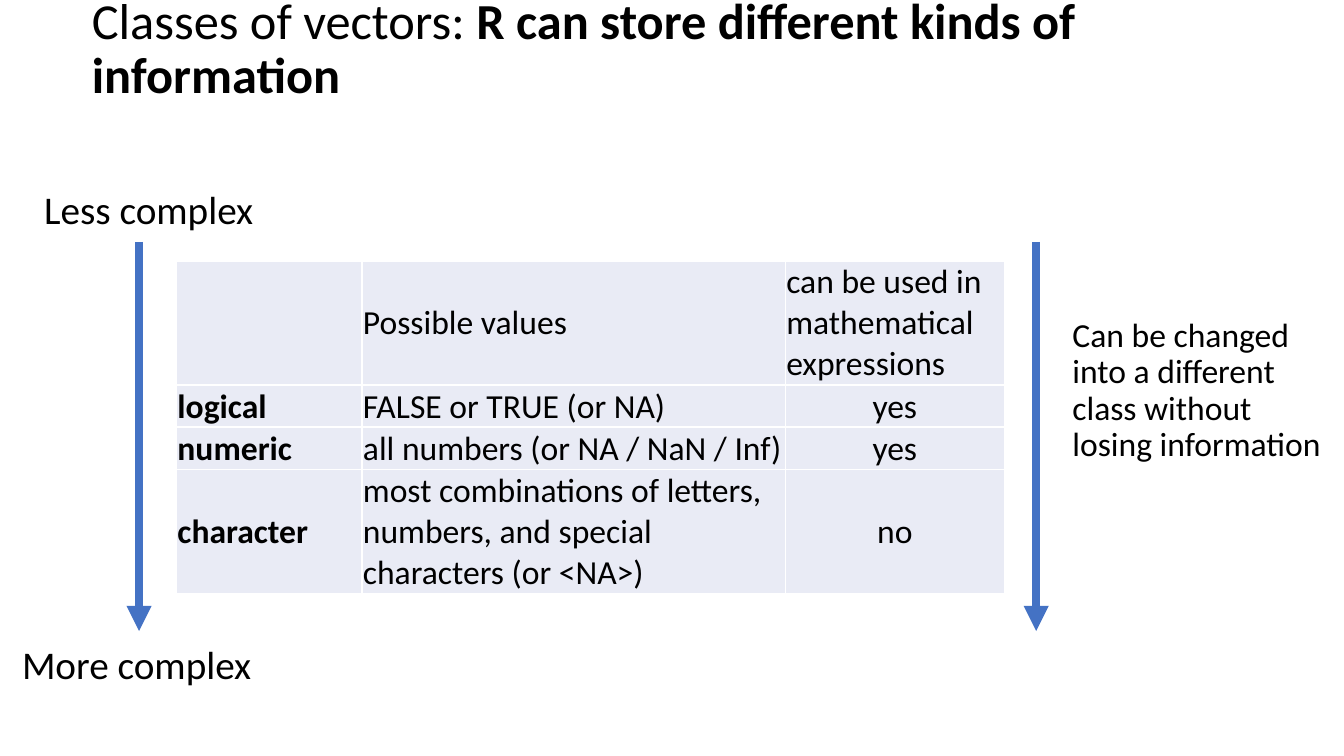
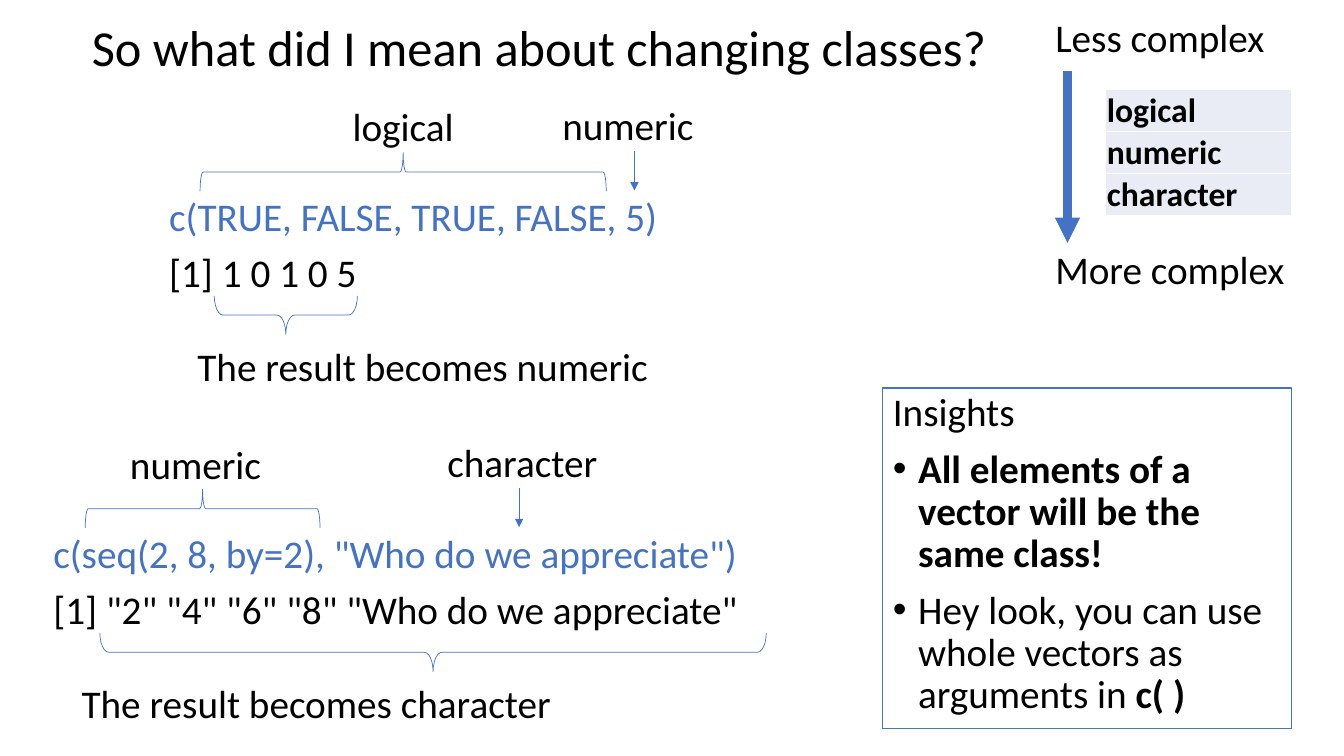
from lxml.etree import SubElement
from pptx import Presentation
from pptx.dml.color import RGBColor
from pptx.enum.shapes import MSO_CONNECTOR, MSO_SHAPE
from pptx.enum.text import MSO_ANCHOR, MSO_AUTO_SIZE, PP_ALIGN
from pptx.oxml.ns import qn
from pptx.util import Inches, Pt

COLORS = {"ink": "000000", "accent": "4472C4", "cell": "E9EBF5", "border": "FFFFFF"}
FONT = "Calibri"
TITLE_ONLY = 5
LINE_ROW = 5.38
CLASS_COL = 13.8

deck = Presentation()
deck.slide_width, deck.slide_height = Inches(13.33), Inches(7.5)


def share(left, top, width, height):
    across, down = deck.slide_width / 100, deck.slide_height / 100
    return int(left * across), int(top * down), int(width * across), int(height * down)


def write(frame, paragraphs, size=28, before=10, spacing=0.9, align=PP_ALIGN.LEFT):
    frame.word_wrap = True
    for index, runs in enumerate(paragraphs):
        paragraph = frame.paragraphs[0] if index == 0 else frame.add_paragraph()
        paragraph.alignment = align
        paragraph.line_spacing = spacing
        paragraph.space_before = Pt(before)
        for text, bold, color in runs:
            run = paragraph.add_run()
            run.text = text
            run.font.name, run.font.size, run.font.bold = FONT, Pt(size), bold
            run.font.color.rgb = RGBColor.from_string(COLORS[color])


titles = [
    (93.22, [("Classes of vectors: ", False, "ink"),
             ("R can store different kinds of information", True, "ink")]),
    (86.25, [("So what did I mean about changing classes?", False, "ink")]),
]
slides = []
for title_width, title_runs in titles:
    slide = deck.slides.add_slide(deck.slide_layouts[TITLE_ONLY])
    heading = slide.shapes.title
    heading.left, heading.top, heading.width, heading.height = share(6.08, 0, title_width, 13.33)
    heading.text_frame.vertical_anchor = MSO_ANCHOR.MIDDLE
    heading.text_frame.auto_size = MSO_AUTO_SIZE.NONE
    write(heading.text_frame, [title_runs], size=36, before=0)
    slides.append(slide)
classes, changing = slides

class_rows = [
    ["", "Possible values", "can be used in mathematical expressions"],
    ["logical", "FALSE or TRUE (or NA)", "yes"],
    ["numeric", "all numbers (or NA / NaN / Inf)", "yes"],
    ["character", "most combinations of letters, numbers, and special characters (or <NA>)", "no"],
]
class_names = [row[:1] for row in class_rows[1:]]
tables = [
    (classes, 13.13, 34.53, [CLASS_COL, 31.5, 16.3], [3, 1, 1, 3], class_rows),
    (changing, 82.28, 11.87, [CLASS_COL], [1, 1, 1], class_names),
]
for slide, left, top, columns, line_counts, rows in tables:
    box = share(left, top, sum(columns), sum(line_counts) * LINE_ROW)
    table = slide.shapes.add_table(len(rows), len(columns), *box).table
    table.first_row = table.horz_banding = False
    for column, width in zip(table.columns, columns):
        column.width = share(0, 0, width, 0)[2]
    for row, lines in zip(table.rows, line_counts):
        row.height = share(0, 0, 0, lines * LINE_ROW)[3]
    for row_index, values in enumerate(rows):
        for column_index, value in enumerate(values):
            cell = table.cell(row_index, column_index)
            cell.margin_left = cell.margin_right = cell.margin_top = Inches(0.01)
            cell.margin_bottom = 0
            cell.vertical_anchor = MSO_ANCHOR.MIDDLE
            for side in ("a:lnL", "a:lnR", "a:lnT", "a:lnB"):
                border = SubElement(cell._tc.get_or_add_tcPr(), qn(side), w=str(Pt(1)))
                border_fill = SubElement(border, qn("a:solidFill"))
                SubElement(border_fill, qn("a:srgbClr"), val=COLORS["border"])
            cell.fill.solid()
            cell.fill.fore_color.rgb = RGBColor.from_string(COLORS["cell"])
            is_answer = column_index == 2 and row_index > 0
            write(cell.text_frame, [[(value, column_index == 0, "ink")]], size=24, before=0,
                  spacing=1.0, align=PP_ALIGN.CENTER if is_answer else PP_ALIGN.LEFT)

arrows = [
    (classes, 10.35, 32, 83.47, 6),
    (classes, 77.1, 32, 83.47, 6),
    (changing, 79.43, 9.33, 32.13, 6),
    (changing, 47.21, 20, 25.2, 0.5),
    (changing, 38.63, 64.53, 69.73, 0.5),
]
for slide, across, start, end, weight in arrows:
    x, y, _, length = share(across, start, 0, end - start)
    arrow = slide.shapes.add_connector(MSO_CONNECTOR.STRAIGHT, x, y, x, y + length)
    arrow.line.color.rgb = RGBColor.from_string(COLORS["accent"])
    arrow.line.width = Pt(weight)
    SubElement(arrow.line._get_or_add_ln(), qn("a:tailEnd"), type="triangle")
    SubElement(arrow._element.spPr, qn("a:effectLst"))

braces = [
    (14.89, 20.2, 30.22, 270, 0.08),
    (15.94, 39.13, 10.65, 90, 0.23),
    (6.34, 64.73, 17.47, 270, 0.08),
    (7.43, 83.73, 49.58, 90, 0.23),
]
for left, top, width, turn, curl in braces:
    x, y, span, depth = share(left, top, width, 5.1)
    brace = changing.shapes.add_shape(
        MSO_SHAPE.RIGHT_BRACE, x + (span - depth) // 2, y + (depth - span) // 2, depth, span)
    brace.rotation = turn
    brace.adjustments[0] = curl
    brace.shadow.inherit = False
    brace.fill.background()
    brace.line.color.rgb = RGBColor.from_string(COLORS["accent"])
    brace.line.width = Pt(0.5)

labels = [
    (classes, 2.55, 24.53, 17.33, "Less complex", 28),
    (classes, 0.9, 84.8, 19.2, "More complex", 28),
    (classes, 79.05, 41.47, 20.18,
     "Can be changed into a different class without losing information", 24),
    (changing, 77.78, 1.87, 17.33, "Less complex", 28),
    (changing, 77.78, 32.53, 19.2, "More complex", 28),
    (changing, 25.5, 13.6, 9.08, "logical", 28),
    (changing, 41.1, 13.47, 12.23, "numeric", 28),
    (changing, 13.95, 45.33, 37.5, "The result becomes numeric", 28),
    (changing, 8.93, 58.27, 12.23, "numeric", 28),
    (changing, 32.55, 58, 13.65, "character", 28),
    (changing, 5.33, 89.87, 37.5, "The result becomes character", 28),
]
for slide, left, top, width, text, size in labels:
    height = 7.87 if size == 28 else 29.07
    label = slide.shapes.add_textbox(*share(left, top, width, height))
    write(label.text_frame, [[(text, False, "ink")]], size=size)

examples = [
    (11.85, 25.47, 47.03, "c(TRUE, FALSE, TRUE, FALSE, 5)", "[1] 1 0 1 0 5"),
    (3.23, 70, 73.5, 'c(seq(2, 8, by=2), "Who do we appreciate")',
     '[1] "2" "4" "6" "8" "Who do we appreciate"'),
]
for left, top, width, code, result in examples:
    example = changing.shapes.add_textbox(*share(left, top, width, 16.4))
    write(example.text_frame, [[(code, False, "accent")], [(result, False, "ink")]])

insights = changing.shapes.add_shape(MSO_SHAPE.RECTANGLE, *share(65.7, 51.33, 30.38, 45.07))
insights.shadow.inherit = False
insights.fill.background()
insights.line.color.rgb = RGBColor.from_string(COLORS["accent"])
insights.line.width = Pt(0.75)
insights.text_frame.vertical_anchor = MSO_ANCHOR.TOP
write(insights.text_frame, [
    [("Insights", False, "ink")],
    [("All elements of a vector will be the same class!", True, "ink")],
    [("Hey look, you can use whole vectors as arguments in ", False, "ink"),
     ("c( )", True, "ink")],
])
for point in insights.text_frame.paragraphs[1:]:
    properties = point._p.get_or_add_pPr()
    properties.set("marL", str(Inches(0.25)))
    properties.set("indent", str(-Inches(0.25)))
    SubElement(properties, qn("a:buFont"), typeface="Arial")
    SubElement(properties, qn("a:buChar"), char="•")

deck.save("out.pptx")
